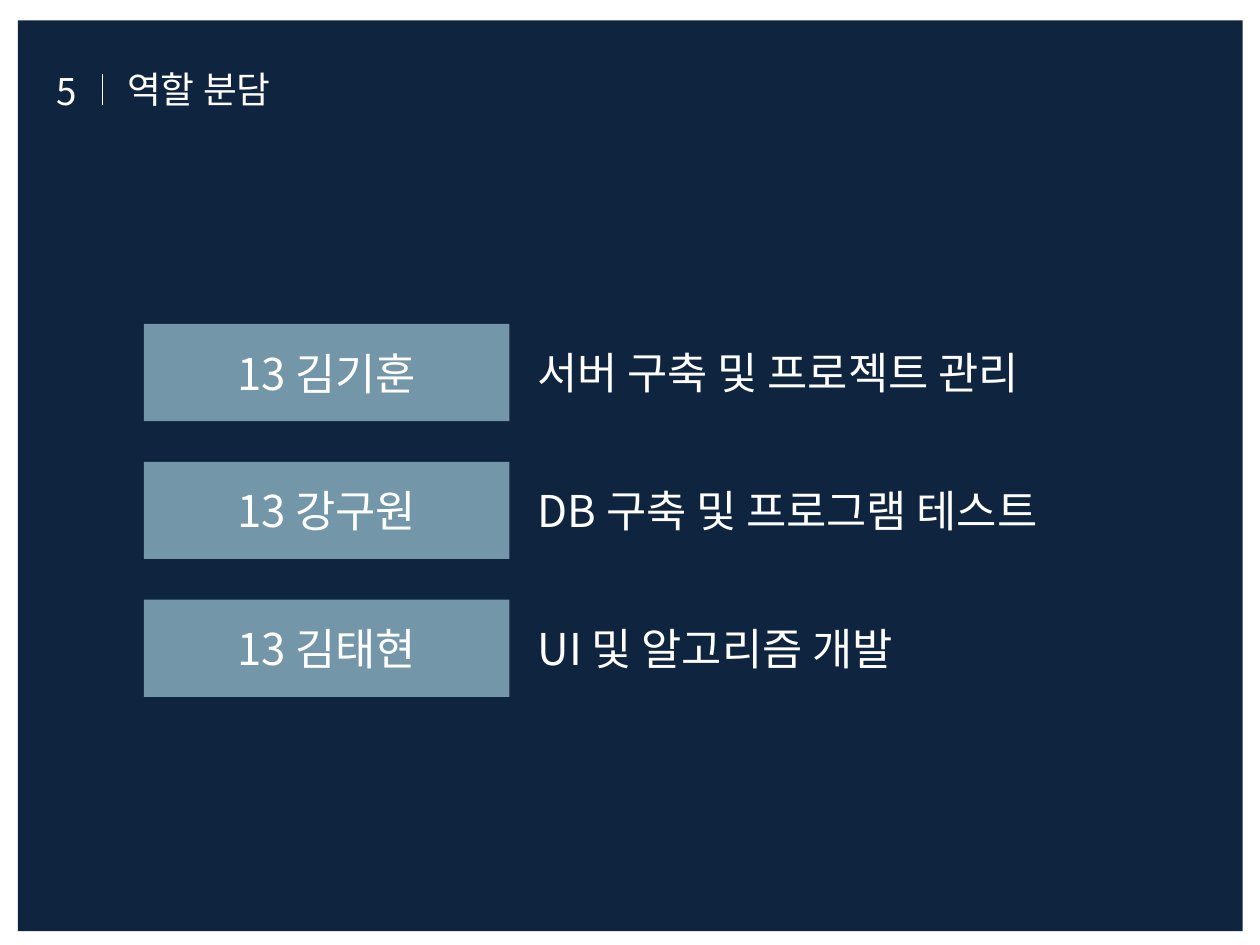
import dataclasses

import pptx
import pptx.dml.color
import pptx.enum.shapes
import pptx.enum.text
import pptx.oxml.ns
import pptx.util
from lxml import etree

Cm = pptx.util.Cm
Pt = pptx.util.Pt
Hue = pptx.dml.color.RGBColor.from_string
Align = pptx.enum.text.PP_ALIGN
Anchor = pptx.enum.text.MSO_ANCHOR
Fit = pptx.enum.text.MSO_AUTO_SIZE
qn = pptx.oxml.ns.qn


@dataclasses.dataclass
class Theme:
    font: str = "Noto Sans CJK KR"
    navy: str = "0F243E"
    steel: str = "7396A9"
    white: str = "FFFFFF"
    head: float = 21
    item: float = 25


class Deck:
    def __init__(self, theme):
        self.theme = theme
        self.file = pptx.Presentation()
        self.file.slide_width, self.file.slide_height = Cm(25.4), Cm(19.05)
        self.slide = self.file.slides.add_slide(self.file.slide_layouts[5])

    def letter(self, shape, text, size, align=Align.LEFT, anchor=Anchor.TOP,
               wrap=True, fit=Fit.NONE, track=None):
        frame = shape.text_frame
        frame.word_wrap, frame.auto_size = wrap, fit
        frame.vertical_anchor = anchor
        line = frame.paragraphs[0]
        line.alignment = align
        run = line.add_run()
        run.text = text
        run.font.size, run.font.name = Pt(size), self.theme.font
        run.font.color.rgb = Hue(self.theme.white)
        # Korean letters take the East Asian font
        props = run.font._element
        etree.SubElement(props, qn("a:ea"), typeface=self.theme.font)
        if track is not None:
            props.set("spc", str(round(track * 100)))

    def title(self, text, *box):
        shape = self.slide.shapes.title
        shape.left, shape.top, shape.width, shape.height = map(Cm, box)
        self.letter(shape, text, self.theme.head)

    def label(self, text, size, *box, **style):
        shape = self.slide.shapes.add_textbox(*map(Cm, box))
        self.letter(shape, text, size, **style)

    def block(self, fill, *box):
        kind = pptx.enum.shapes.MSO_SHAPE.RECTANGLE
        shape = self.slide.shapes.add_shape(kind, *map(Cm, box))
        shape.shadow.inherit = False
        shape.fill.solid()
        shape.fill.fore_color.rgb = Hue(fill)
        shape.line.fill.background()
        return shape

    def panel(self, *box):
        # The panel lies behind the title placeholder
        shape = self.block(self.theme.navy, *box)
        self.slide.shapes._spTree.insert(2, shape._element)

    def rule(self, *ends):
        kind = pptx.enum.shapes.MSO_CONNECTOR.STRAIGHT
        line = self.slide.shapes.add_connector(kind, *map(Cm, ends))
        line.line.color.rgb = Hue(self.theme.white)
        line.line.width = Pt(0.25)
        etree.SubElement(line._element.spPr, qn("a:effectLst"))

    def role(self, top, name, task, width):
        box = self.block(self.theme.steel, 2.9, top, 7.37, 1.96)
        self.letter(box, name, self.theme.item, Align.CENTER, Anchor.MIDDLE)
        self.label(task, self.theme.item, 10.59, top + 0.31, width, 1.32,
                   wrap=False, fit=Fit.SHAPE_TO_FIT_TEXT)


def main():
    theme = Theme()
    deck = Deck(theme)

    # Backdrop and heading
    deck.panel(0.36, 0.41, 24.69, 18.36)
    deck.label("5", theme.head, 0.89, 0.64, 1.8, 2.39,
               anchor=Anchor.MIDDLE, track=-1.5)
    deck.title("역할 분담", 2.31, 1.22, 11.4, 3.2)
    deck.rule(2.06, 1.5, 2.06, 2.11)

    # Members and their roles, evenly spaced
    roles = [
        ("13 김기훈", "서버 구축 및 프로젝트 관리", 11.56),
        ("13 강구원", "DB 구축 및 프로그램 테스트", 11.81),
        ("13 김태현", "UI 및 알고리즘 개발", 8.71),
    ]
    for row, (name, task, width) in enumerate(roles):
        deck.role(6.53 + row * 2.78, name, task, width)

    deck.file.save("out.pptx")


if __name__ == "__main__":
    main()
